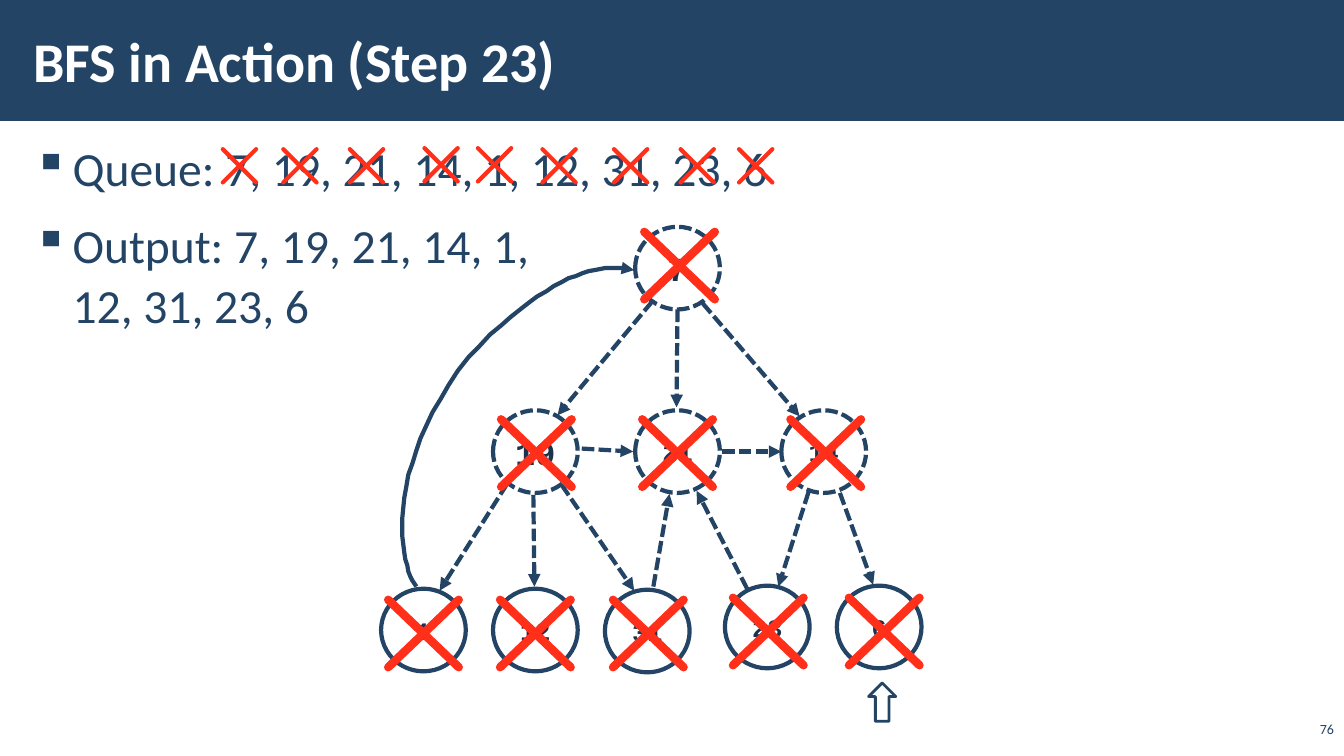
"""Build the slide that shows step 23 of a breadth-first search."""
from lxml import etree
from pptx import Presentation, util as u
from pptx.dml.color import RGBColor
from pptx.enum import dml, shapes, text
from pptx.oxml.ns import qn

SCALE = 9144
COLORS = {"navy": "234465", "ink": "1A334C", "red": "FF2F19", "white": "FFFFFF"}
BODY = "Calibri"
CODE = "Courier New"

QUEUE = [(221, 148), (281, 148), (347, 148), (421, 147), (474, 147),
         (538, 148), (609, 148), (675, 148), (733, 148)]
# label, left, top, size, dashed, cross left, cross top
NODES = [("7", 630, 225, 24, True, 639, 230),
         ("19", 489, 407, 24, True, 497, 416),
         ("21", 630, 407, 18, True, 637, 416),
         ("14", 775, 407, 18, True, 784, 416),
         ("1", 378, 584, 18, False, 385, 595),
         ("12", 489, 584, 18, False, 496, 595),
         ("31", 600, 585, 18, False, 608, 595),
         ("23", 719, 581, 18, False, 727, 593),
         ("6", 830, 581, 18, False, 842, 593)]
EDGES = [(647, 299, 553, 412), (672, 307, 671, 404), (697, 301, 793, 413),
         (577, 445, 628, 448), (716, 448, 775, 448),
         (503, 480, 436, 586), (529, 491, 530, 582), (557, 481, 629, 586),
         (648, 582, 664, 490), (741, 584, 691, 487),
         (802, 488, 772, 582), (833, 489, 866, 580)]
CURVE = [((413, 582), (398, 565), (376, 467), (465, 354)),
         ((465, 354), (554, 260), (604, 262), (629, 268))]


def px(*vals):
    return [u.Emu(round(v * SCALE)) for v in vals]


def color(name):
    return RGBColor.from_string(COLORS[name])


def bezier(ends, steps=24):
    for i in range(1, steps + 1):
        t = i / steps
        mix = ((1 - t) ** 3, 3 * t * (1 - t) ** 2, 3 * t * t * (1 - t), t ** 3)
        yield tuple(round(sum(m * p[k] for m, p in zip(mix, ends)), 2)
                    for k in (0, 1))


class Deck:
    def __init__(self):
        self.prs = Presentation()
        self.prs.slide_width, self.prs.slide_height = u.Inches(13.33), u.Inches(7.5)
        self.slide = self.prs.slides.add_slide(self.prs.slide_layouts[5])
        self.items = self.slide.shapes

    def font(self, par, size, name, tint, bold=False):
        font = par.font
        font.size, font.name, font.bold = u.Pt(size), name, bold
        font.color.rgb = color(tint)

    def line(self, item, tint, width, dash=False, head=False, cap=None):
        item.line.color.rgb = color(tint)
        item.line.width = u.Pt(width)
        if dash:
            item.line.dash_style = dml.MSO_LINE.SQUARE_DOT
        ln = item._element.spPr.find(qn("a:ln"))
        if cap:
            ln.set("cap", cap)
        if head:
            etree.SubElement(ln, qn("a:tailEnd"), type="triangle")

    def shape(self, kind, box, fill, alpha=100):
        item = self.items.add_shape(kind, *px(*box))
        item.shadow.inherit = False
        item.fill.solid()
        item.fill.fore_color.rgb = color(fill)
        if alpha < 100:
            tint = item._element.spPr.find(qn("a:solidFill"))[0]
            etree.SubElement(tint, qn("a:alpha"), val=str(alpha * 1000))
        return item

    def band(self, box):
        item = self.shape(shapes.MSO_SHAPE.RECTANGLE, box, "navy")
        item.line.fill.background()
        self.items._spTree.insert(2, item._element)

    def frame(self, item, anchor):
        frame = item.text_frame
        frame.word_wrap = True
        frame.auto_size = text.MSO_AUTO_SIZE.NONE
        frame.vertical_anchor = anchor
        return frame

    def inset(self, frame):
        frame.margin_left = frame.margin_right = px(12)[0]
        frame.margin_top = frame.margin_bottom = px(4)[0]

    def title(self, box, words):
        item = self.items.title
        item.left, item.top, item.width, item.height = px(*box)
        frame = self.frame(item, text.MSO_ANCHOR.MIDDLE)
        self.inset(frame)
        frame.text = words
        par = frame.paragraphs[0]
        par.alignment = text.PP_ALIGN.LEFT
        self.font(par, 40, BODY, "white", True)

    def bullets(self, box, rows):
        frame = self.frame(self.items.add_textbox(*px(*box)), text.MSO_ANCHOR.TOP)
        self.inset(frame)
        for i, row in enumerate(rows):
            par = frame.add_paragraph() if i else frame.paragraphs[0]
            par.text = row
            props = par._p.get_or_add_pPr()
            props.set("marL", str(39 * SCALE))
            props.set("indent", str(-39 * SCALE))
            etree.SubElement(props, qn("a:buChar"), char="▪")
            par.line_spacing = 1.05
            par.space_before = u.Pt(6 if i else 0)
            par.space_after = u.Pt(6)
            self.font(par, 34, BODY, "navy")

    def number(self, box, words):
        frame = self.frame(self.items.add_textbox(*px(*box)), text.MSO_ANCHOR.BOTTOM)
        par = frame.paragraphs[0]
        par.text = words
        par.alignment = text.PP_ALIGN.RIGHT
        self.font(par, 10, BODY, "navy")

    def node(self, label, x, y, size, dash):
        item = self.shape(shapes.MSO_SHAPE.OVAL, (x, y, 84, 82), "white", 70)
        self.line(item, "navy", 3, dash)
        frame = self.frame(item, text.MSO_ANCHOR.MIDDLE)
        frame.word_wrap = False
        par = frame.paragraphs[0]
        par.text = label
        par.alignment = text.PP_ALIGN.CENTER
        self.font(par, size, CODE, "ink", True)

    def link(self, ends, tint, width, **style):
        item = self.items.add_connector(shapes.MSO_CONNECTOR.STRAIGHT, *px(*ends))
        self.line(item, tint, width, **style)
        etree.SubElement(item._element.spPr, qn("a:effectLst"))

    def cross(self, x, y, wide, high, width):
        for ends in ((x, y, x + wide, y + high), (x + wide, y, x, y + high)):
            self.link(ends, "red", width, cap="rnd")

    def curve(self, parts):
        build = self.items.build_freeform(*parts[0][0], scale=SCALE)
        build.add_line_segments([p for part in parts for p in bezier(part)], close=False)
        item = build.convert_to_shape()
        item.shadow.inherit = False
        item.fill.background()
        self.line(item, "navy", 3, head=True)

    def arrow(self, box):
        item = self.shape(shapes.MSO_SHAPE.RIGHT_ARROW, box, "white", 50)
        item.rotation = 270
        self.line(item, "navy", 2)


def main():
    deck = Deck()
    deck.band((0, 0, 1333, 120))
    deck.title((21, 11, 1063, 97), "BFS in Action (Step 23)")
    deck.bullets((21, 131, 1292, 605), ["Queue: 7, 19, 21, 14, 1, 12, 31, 23, 6",
                                        "Output: 7, 19, 21, 14, 1,\v12, 31, 23, 6"])
    deck.number((1286, 714, 47, 22), "76")
    for x, y in QUEUE:
        deck.cross(x, y, 33, 33, 3)
    deck.arrow((856, 683, 38, 27))
    for label, x, y, size, dash, *_ in NODES:
        deck.node(label, x, y, size, dash)
    for ends in EDGES:
        deck.link(ends, "navy", 3, dash=True, head=True)
    deck.curve(CURVE)
    for *_, x, y in NODES:
        deck.cross(x, y, 70, 67, 6)
    deck.prs.save("out.pptx")


if __name__ == "__main__":
    main()
